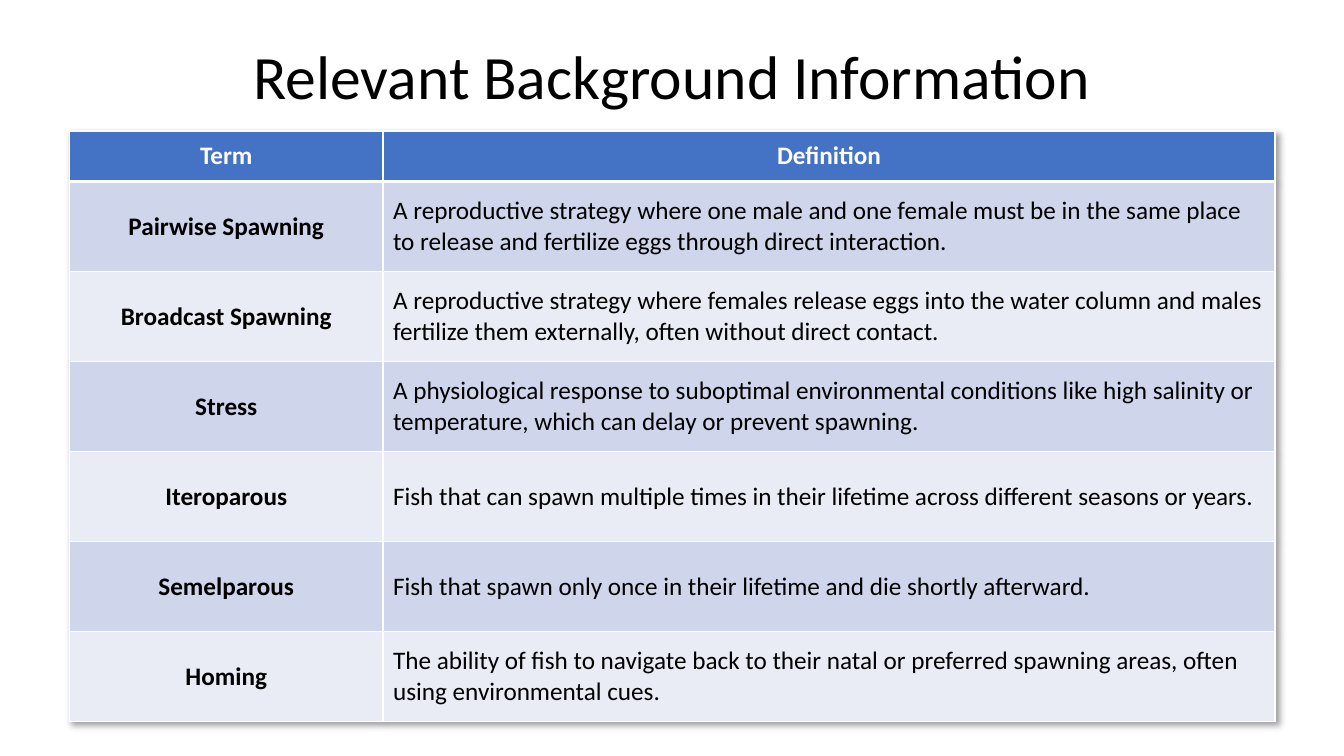
from lxml import etree
from pptx import Presentation
from pptx.dml.color import RGBColor
from pptx.enum.text import MSO_ANCHOR, PP_ALIGN
from pptx.oxml import parse_xml
from pptx.oxml.ns import nsdecls, qn
from pptx.util import Pt

MIDDLE = MSO_ANCHOR.MIDDLE
CENTER, LEFT = PP_ALIGN.CENTER, PP_ALIGN.LEFT
FONT = "Calibri"
BLACK = RGBColor(0x00, 0x00, 0x00)
WHITE = RGBColor(0xFF, 0xFF, 0xFF)
BLUE = RGBColor(0x44, 0x72, 0xC4)
BANDS = (RGBColor(0xCF, 0xD5, 0xEA), RGBColor(0xE9, 0xEB, 0xF5))
HEADER_HEIGHT = 36
TERM_SHARE = 0.26

ROWS = [
    ("Term", "Definition"),
    ("Pairwise Spawning",
     "A reproductive strategy where one male and one female must be in the same "
     "place to release and fertilize eggs through direct interaction."),
    ("Broadcast Spawning",
     "A reproductive strategy where females release eggs into the water column "
     "and males fertilize them externally, often without direct contact."),
    ("Stress",
     "A physiological response to suboptimal environmental conditions like high "
     "salinity or temperature, which can delay or prevent spawning."),
    ("Iteroparous",
     "Fish that can spawn multiple times in their lifetime across different "
     "seasons or years."),
    ("Semelparous",
     "Fish that spawn only once in their lifetime and die shortly afterward."),
    ("Homing",
     "The ability of fish to navigate back to their natal or preferred spawning "
     "areas, often using environmental cues."),
]


def style_paragraph(p, size, color, bold, align):
    p.alignment = align
    p.font.name = FONT
    p.font.size = Pt(size)
    p.font.bold = bold
    p.font.color.rgb = color


def add_title(s, text, left, top, width, height):
    tf = s.shapes.add_textbox(Pt(left), Pt(top), Pt(width), Pt(height)).text_frame
    tf.word_wrap = True
    tf.vertical_anchor = MIDDLE
    p = tf.paragraphs[0]
    p.text = text
    p.line_spacing = 0.9
    style_paragraph(p, 44, BLACK, False, CENTER)


def set_borders(cell, widths):
    tc_pr = cell._tc.get_or_add_tcPr()
    for i, (side, width) in enumerate(widths.items()):
        line = etree.Element(qn(f"a:ln{side}"), w=str(Pt(width)))
        fill = etree.SubElement(line, qn("a:solidFill"))
        etree.SubElement(fill, qn("a:srgbClr"), val=str(WHITE))
        tc_pr.insert(i, line)


def add_table_shadow(table):
    table._tbl.tblPr.insert(0, parse_xml(
        f'<a:effectLst {nsdecls("a")}>'
        f'<a:outerShdw blurRad="{Pt(4)}" dist="{Pt(3)}" dir="2700000" algn="tl" rotWithShape="0">'
        '<a:srgbClr val="000000"><a:alpha val="40000"/></a:srgbClr>'
        '</a:outerShdw></a:effectLst>'))


def add_glossary(s, rows, left, top, width, height):
    table = s.shapes.add_table(
        len(rows), 2, Pt(left), Pt(top), Pt(width), Pt(height)).table
    add_table_shadow(table)
    table.columns[0].width = Pt(width * TERM_SHARE)
    table.columns[1].width = Pt(width * (1 - TERM_SHARE))
    body_height = (height - HEADER_HEIGHT) / (len(rows) - 1)
    for i, row in enumerate(rows):
        header = i == 0
        table.rows[i].height = Pt(HEADER_HEIGHT if header else body_height)
        for j, text in enumerate(row):
            cell = table.cell(i, j)
            cell.text = text
            cell.vertical_anchor = MIDDLE
            cell.fill.solid()
            cell.fill.fore_color.rgb = BLUE if header else BANDS[(i - 1) % 2]
            set_borders(cell, {"L": 1, "R": 1, "T": 3 if i == 1 else 1,
                               "B": 3 if header else 1})
            heading = header or j == 0
            style_paragraph(cell.text_frame.paragraphs[0], 18,
                            WHITE if header else BLACK, heading,
                            CENTER if heading else LEFT)


def main():
    prs = Presentation()
    prs.slide_width, prs.slide_height = Pt(960), Pt(540)
    s = prs.slides.add_slide(prs.slide_layouts[6])
    add_title(s, "Relevant Background Information", 66, 4.5, 828, 104.4)
    add_glossary(s, ROWS, 49.7, 93.6, 861.1, 421.9)
    prs.save("out.pptx")


if __name__ == "__main__":
    main()
